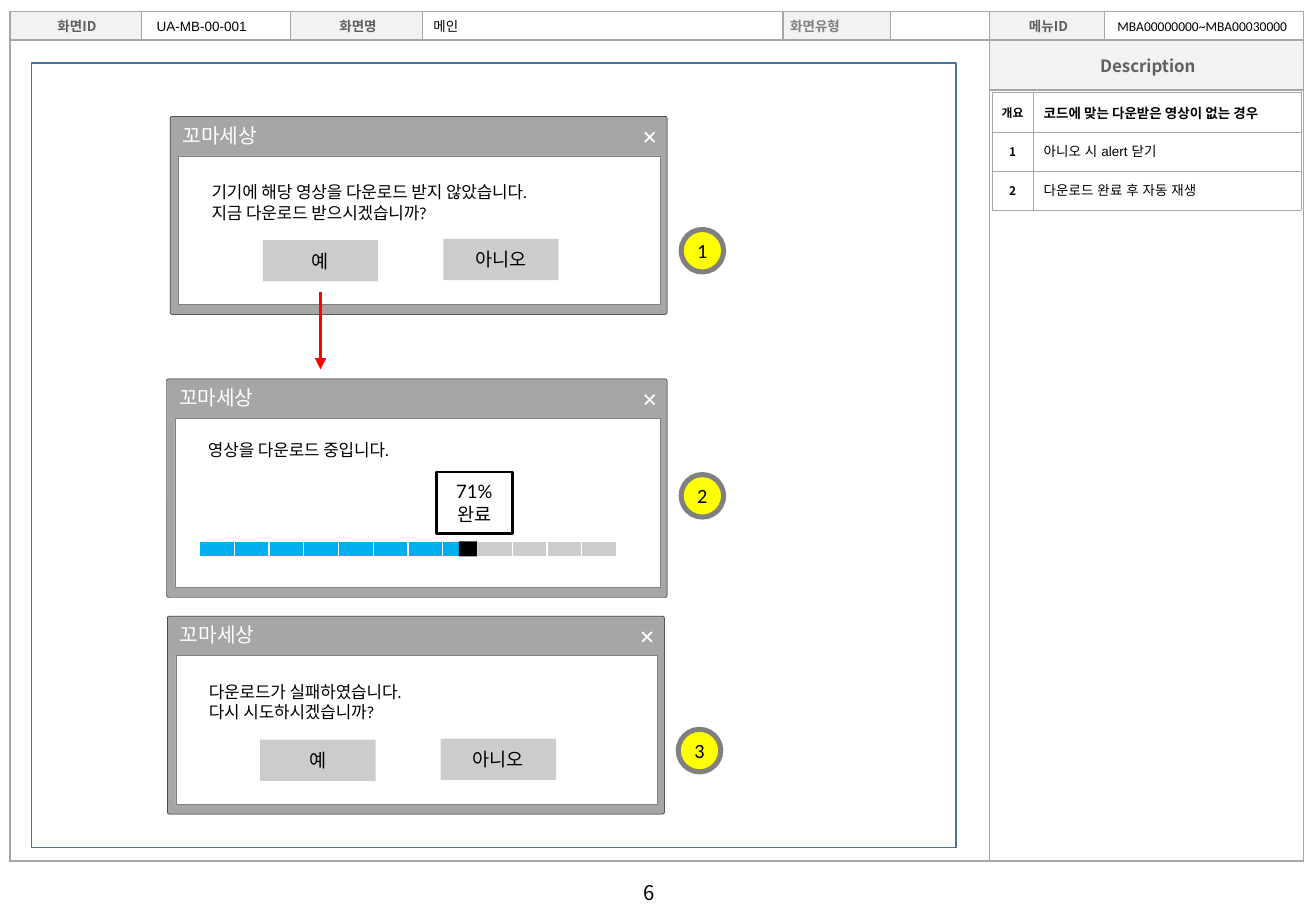
"""Build the screen specification page for the video download dialogs."""
from dataclasses import dataclass

from lxml import etree
from pptx import Presentation
from pptx.dml.color import RGBColor
from pptx.enum.shapes import MSO_CONNECTOR, MSO_SHAPE
from pptx.enum.text import MSO_ANCHOR, PP_ALIGN
from pptx.oxml.ns import qn
from pptx.shapes.autoshape import Shape
from pptx.shapes.connector import Connector
from pptx.slide import Slide
from pptx.table import Table, _Cell
from pptx.text.text import TextFrame
from pptx.util import Pt

RECTANGLE = MSO_SHAPE.RECTANGLE
ROUNDED = MSO_SHAPE.ROUNDED_RECTANGLE
OVAL = MSO_SHAPE.OVAL
STRAIGHT = MSO_CONNECTOR.STRAIGHT
LEFT, CENTER = PP_ALIGN.LEFT, PP_ALIGN.CENTER
TOP, MIDDLE = MSO_ANCHOR.TOP, MSO_ANCHOR.MIDDLE

BLACK = RGBColor(0x00, 0x00, 0x00)
WHITE = RGBColor(0xFF, 0xFF, 0xFF)
INK = RGBColor(0x0D, 0x0D, 0x0D)
LABEL = RGBColor(0x5F, 0x5F, 0x5F)
GRAY = RGBColor(0x80, 0x80, 0x80)
BORDER = RGBColor(0xA6, 0xA6, 0xA6)
SILVER = RGBColor(0xCC, 0xCC, 0xCC)
PALE = RGBColor(0xF2, 0xF2, 0xF2)
NAVY = RGBColor(0x43, 0x73, 0x9E)
SKY = RGBColor(0x00, 0xB0, 0xF0)
YELLOW = RGBColor(0xFF, 0xFF, 0x00)
RED = RGBColor(0xFF, 0x00, 0x00)

NOTO, ARIAL, CALIBRI, LATO = "Noto Sans CJK KR", "Arial", "Calibri", "Lato"
APP_NAME = "꼬마세상"
SEGMENTS, FILLED, SEGMENT_STEP = 12, 8, 20.6


@dataclass(frozen=True)
class Style:
    font: str
    size: float
    color: RGBColor = BLACK
    bold: bool = False
    align: PP_ALIGN = LEFT


@dataclass(frozen=True)
class Area:
    left: float
    top: float
    width: float
    height: float


@dataclass(frozen=True)
class Dialog:
    area: Area
    message: str
    message_top: float
    button_font: str = ""


@dataclass(frozen=True)
class Entry:
    row: int
    column: int
    text: str
    style: Style
    fill: RGBColor | None = None
    inset: float = 2.6


HEADING = Style(NOTO, 8, LABEL, True, CENTER)
NUMBER = Style(NOTO, 7, BLACK, True, CENTER)
NOTE = Style(ARIAL, 8)

FRAME_ENTRIES = [
    Entry(0, 0, "화면ID", HEADING, PALE, 4.3),
    Entry(0, 2, "화면명", HEADING, PALE, 4.3),
    Entry(0, 4, "화면유형", Style(NOTO, 8, GRAY, True), PALE, 4.3),
    Entry(0, 6, "메뉴ID", HEADING, PALE, 4.3),
    Entry(1, 6, "Description", Style(NOTO, 10, LABEL, True, CENTER), PALE, 4.3),
]
NOTE_ENTRIES = [
    Entry(0, 0, "개요", NUMBER),
    Entry(0, 1, "코드에 맞는 다운받은 영상이 없는 경우", Style(NOTO, 8, BLACK, True), inset=6.5),
    Entry(1, 0, "1", NUMBER),
    Entry(1, 1, "아니오 시 alert 닫기", NOTE, inset=6.5),
    Entry(2, 0, "2", NUMBER),
    Entry(2, 1, "다운로드 완료 후 자동 재생", NOTE, inset=6.5),
]
HEADER_VALUES = [
    (Area(85.7, 7.2, 85.7, 17.3), "UA-MB-00-001", NOTE),
    (Area(249.8, 7.2, 213, 17.3), "메인", NOTE),
    (Area(655.2, 7.2, 120, 17.3), "MBA00000000~MBA00030000", Style(CALIBRI, 8)),
]
DIALOGS = [
    Dialog(Area(100.8, 69, 294.6, 117.4),
           "기기에 해당 영상을 다운로드 받지 않았습니다.\n지금 다운로드 받으시겠습니까?", 35.3, LATO),
    Dialog(Area(98.7, 224.6, 296.7, 129.6), "영상을 다운로드 중입니다.", 32.4),
    Dialog(Area(99.2, 365.2, 294.6, 117.4),
           "다운로드가 실패하였습니다.\n다시 시도하시겠습니까?", 35.3, ARIAL),
]
BADGES = [("1", 403.7, 136), ("2", 403.7, 281.3), ("3", 402, 432.3)]


def write(frame: TextFrame, text: str, style: Style) -> None:
    frame.text = text
    for para in frame.paragraphs:
        para.alignment = style.align
        for span in para.runs:
            span.font.size, span.font.bold = Pt(style.size), style.bold
            span.font.color.rgb = style.color
            span.font.name = style.font
            etree.SubElement(span.font._element, qn("a:ea"), typeface=style.font)


def add_box(page: Slide, area: Area, fill: RGBColor | None, line: RGBColor | None = None,
            weight: float = 0.25, kind: MSO_SHAPE = RECTANGLE) -> Shape:
    box = page.shapes.add_shape(kind, Pt(area.left), Pt(area.top), Pt(area.width), Pt(area.height))
    box.shadow.inherit = False
    if fill is None:
        box.fill.background()
    else:
        box.fill.solid()
        box.fill.fore_color.rgb = fill
    if line is None:
        box.line.fill.background()
    else:
        box.line.color.rgb, box.line.width = line, Pt(weight)
    return box


def label_box(box: Shape, text: str, style: Style, anchor: MSO_ANCHOR = MIDDLE) -> None:
    box.text_frame.vertical_anchor = anchor
    write(box.text_frame, text, style)


def add_text(page: Slide, area: Area, text: str, style: Style, wrap: bool = True) -> None:
    box = page.shapes.add_textbox(Pt(area.left), Pt(area.top), Pt(area.width), Pt(area.height))
    box.text_frame.word_wrap = wrap
    write(box.text_frame, text, style)


def add_line(page: Slide, start: tuple[float, float], end: tuple[float, float],
             color: RGBColor, weight: float) -> Connector:
    line = page.shapes.add_connector(STRAIGHT, *map(Pt, start + end))
    line.line.color.rgb, line.line.width = color, Pt(weight)
    etree.SubElement(line._element.spPr, qn("a:effectLst"))
    return line


def border_cell(cell: _Cell, weight: float) -> None:
    properties = cell._tc.get_or_add_tcPr()
    for side in ("lnL", "lnR", "lnT", "lnB"):
        edge = etree.SubElement(properties, qn(f"a:{side}"), w=str(Pt(weight)))
        paint = etree.SubElement(edge, qn("a:solidFill"))
        etree.SubElement(paint, qn("a:srgbClr"), val=str(BORDER))


def add_grid(page: Slide, left: float, top: float, widths: list[float], heights: list[float],
             entries: list[Entry], weight: float) -> Table:
    table = page.shapes.add_table(len(heights), len(widths), Pt(left), Pt(top),
                                  Pt(sum(widths)), Pt(sum(heights))).table
    table.first_row = table.horz_banding = False
    for column, width in zip(table.columns, widths):
        column.width = Pt(width)
    for row, height in zip(table.rows, heights):
        row.height = Pt(height)
    placed = {(entry.row, entry.column): entry for entry in entries}
    for row in range(len(heights)):
        for column in range(len(widths)):
            cell, entry = table.cell(row, column), placed.get((row, column))
            border_cell(cell, weight)
            cell.fill.background()
            cell.margin_top = cell.margin_bottom = Pt(2.6)
            if entry is None:
                etree.SubElement(cell.text_frame.paragraphs[0]._p, qn("a:endParaRPr"), sz="800")
                continue
            cell.vertical_anchor = MIDDLE
            cell.margin_left, cell.margin_right = Pt(entry.inset), Pt(2.6)
            write(cell.text_frame, entry.text, entry.style)
            if entry.fill is not None:
                cell.fill.solid()
                cell.fill.fore_color.rgb = entry.fill
    return table


def add_dialog(page: Slide, dialog: Dialog) -> None:
    area = dialog.area
    window = add_box(page, area, BORDER, INK, kind=ROUNDED)
    window.adjustments[0] = 0.01
    label_box(window, APP_NAME, Style(LATO, 12, WHITE), TOP)
    add_box(page, Area(area.left + 5, area.top + 23.4, area.width - 9.2, area.height - 29.3), WHITE, GRAY)
    near, far = area.left + area.width - 13.2, area.left + area.width - 7.4
    high, low = area.top + 9.4, area.top + 15.2
    add_line(page, (near, high), (far, low), WHITE, 1)
    add_line(page, (far, high), (near, low), WHITE, 1)
    message_area = Area(area.left + 17.5, area.top + dialog.message_top, 253.4, 31.7)
    add_text(page, message_area, dialog.message, Style(CALIBRI, 10))
    if dialog.button_font:
        for text, shift, drop in (("예", 55, 73.3), ("아니오", 162, 72.6)):
            button = add_box(page, Area(area.left + shift, area.top + drop, 68.4, 24.5), SILVER)
            label_box(button, text, Style(dialog.button_font, 11, align=CENTER))


def add_progress(page: Slide) -> None:
    bubble = add_box(page, Area(258.7, 279.8, 45, 36.3), WHITE, BLACK, 1.5)
    label_box(bubble, "71% 완료", Style(LATO, 11, align=CENTER))
    for index in range(SEGMENTS):
        area = Area(118.2 + index * SEGMENT_STEP, 321, SEGMENT_STEP, 9)
        add_box(page, area, SKY if index < FILLED else SILVER, WHITE, 0.75)
    add_box(page, Area(272, 321, 10.8, 8.8), BLACK)


def add_badge(page: Slide, text: str, left: float, top: float) -> None:
    badge = add_box(page, Area(left, top, 25.2, 25.2), YELLOW, GRAY, 3, OVAL)
    frame = badge.text_frame
    frame.margin_left = frame.margin_right = frame.margin_top = frame.margin_bottom = 0
    label_box(badge, text, Style(CALIBRI, 12, align=CENTER))


def main() -> None:
    deck = Presentation()
    deck.slide_width, deck.slide_height = Pt(780), Pt(540)
    page = deck.slides.add_slide(deck.slide_layouts[6])
    add_text(page, Area(374.4, 518.4, 30.2, 21.6), "6", Style(NOTO, 12), wrap=False)
    frame = add_grid(page, 5.8, 6.8, [77.9, 88.6, 78.2, 213.6, 63.9, 58.5, 68.3, 117.8],
                     [17, 29.5, 457], FRAME_ENTRIES, 1)
    frame.cell(1, 0).merge(frame.cell(2, 5))
    frame.cell(1, 6).merge(frame.cell(1, 7))
    frame.cell(2, 6).merge(frame.cell(2, 7))
    add_box(page, Area(18.7, 37.4, 548, 465), None, NAVY, 1)
    add_grid(page, 588.2, 54.8, [23.9, 158.9], [23.3] * 3, NOTE_ENTRIES, 0.25)
    for area, text, style in HEADER_VALUES:
        add_text(page, area, text, style)
    for dialog in DIALOGS:
        add_dialog(page, dialog)
    arrow = add_line(page, (190, 172.8), (190, 219), RED, 2.25)
    etree.SubElement(arrow._element.spPr.find(qn("a:ln")), qn("a:tailEnd"), type="triangle")
    add_progress(page)
    for badge in BADGES:
        add_badge(page, *badge)
    deck.save("out.pptx")


if __name__ == "__main__":
    main()
